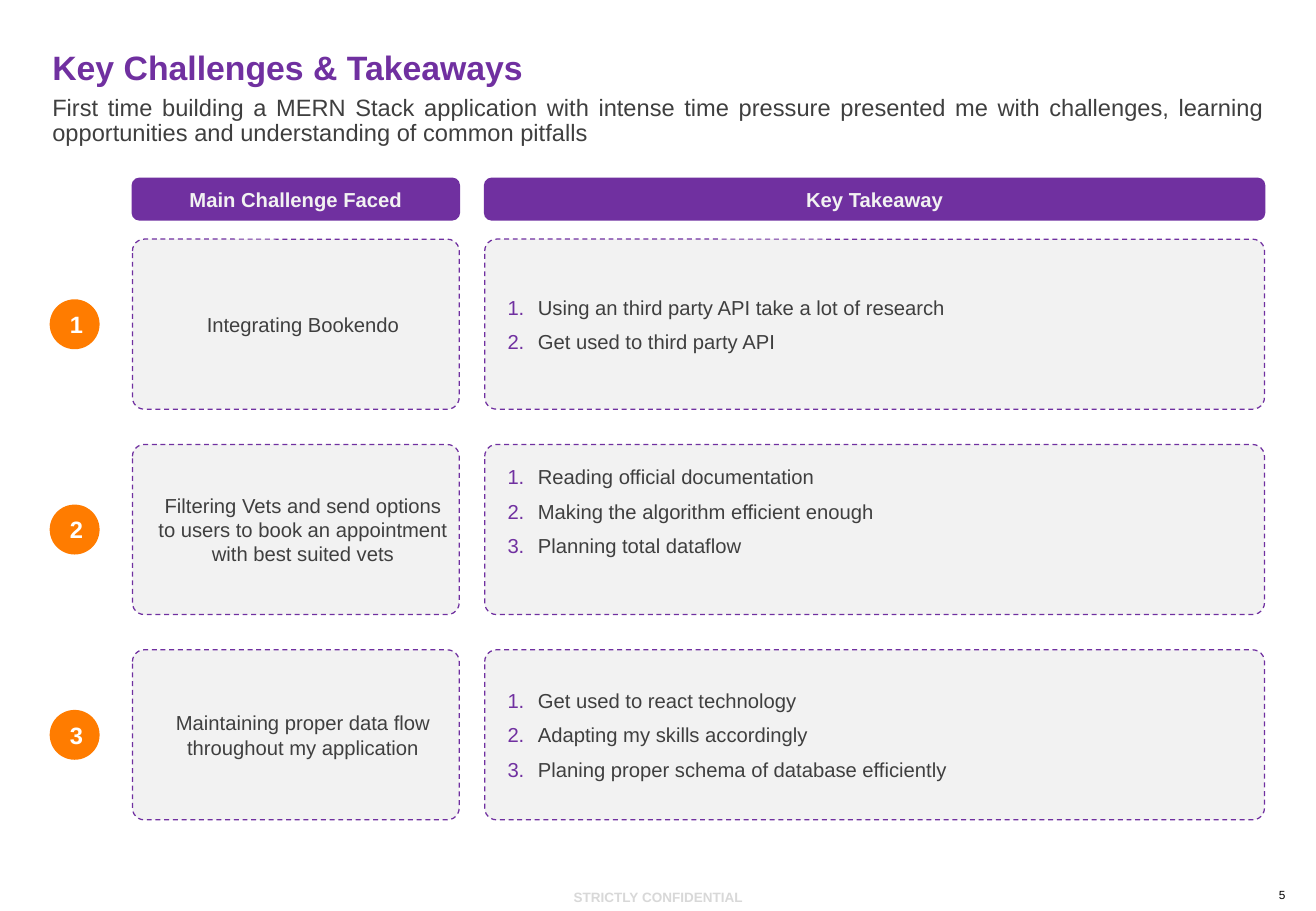
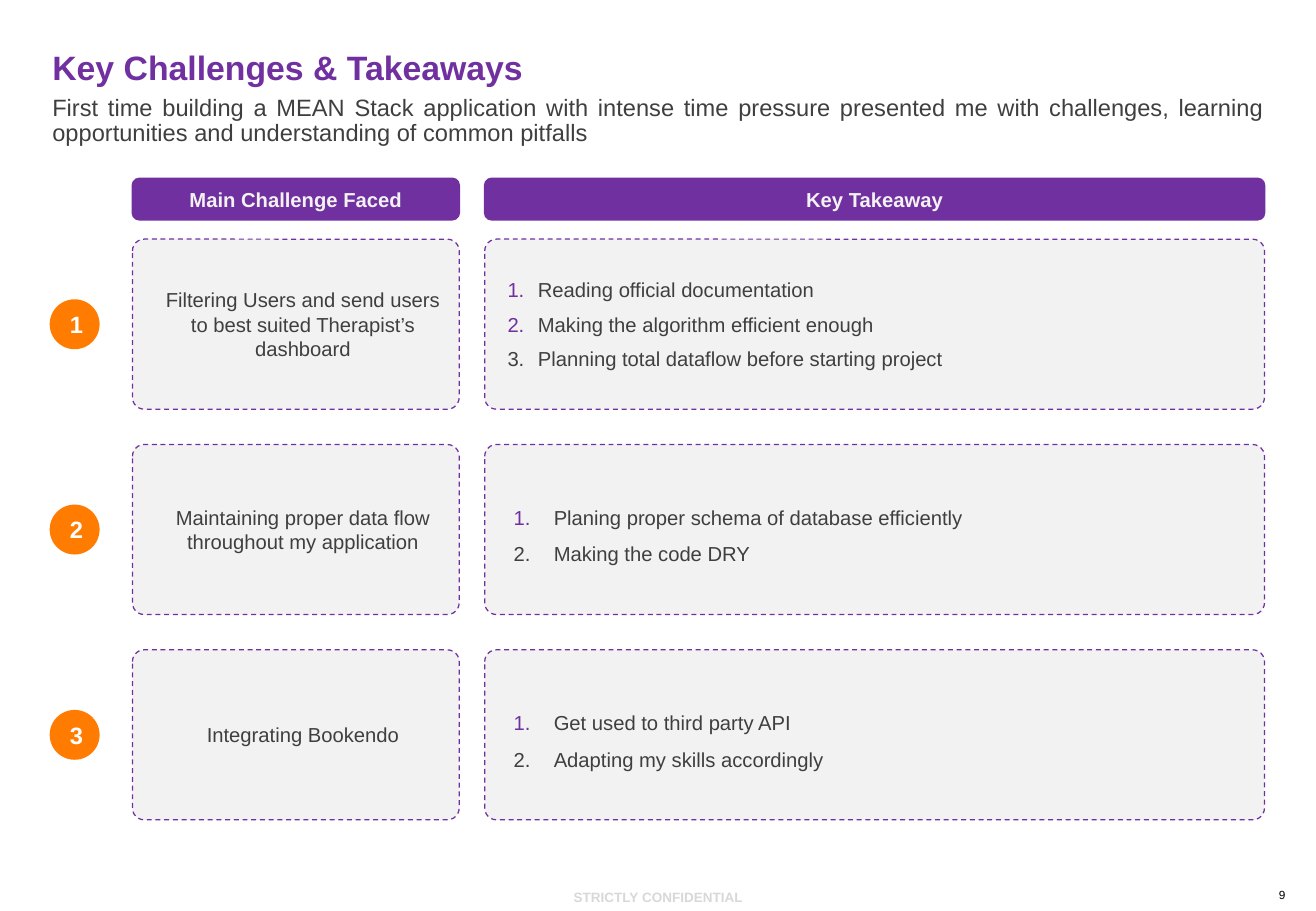
from dataclasses import dataclass

from pptx import Presentation
from pptx.dml.color import RGBColor
from pptx.enum.dml import MSO_LINE
from pptx.enum.shapes import MSO_SHAPE
from pptx.enum.text import MSO_ANCHOR, MSO_AUTO_SIZE, PP_ALIGN
from pptx.oxml.ns import qn
from pptx.slide import Slide
from pptx.shapes.autoshape import Shape
from pptx.text.text import TextFrame
from pptx.util import Pt
from lxml import etree

ROUND, OVAL = MSO_SHAPE.ROUNDED_RECTANGLE, MSO_SHAPE.OVAL
LEFT, CENTER, JUSTIFY = PP_ALIGN.LEFT, PP_ALIGN.CENTER, PP_ALIGN.JUSTIFY
TOP, MIDDLE, BOTTOM = MSO_ANCHOR.TOP, MSO_ANCHOR.MIDDLE, MSO_ANCHOR.BOTTOM
DASH = MSO_LINE.DASH
TITLE_ONLY = 5


@dataclass(frozen=True)
class Theme:
    font: str = "Arial"
    purple: str = "7030A0"
    orange: str = "FF7C00"
    panel: str = "F2F2F2"
    ink: str = "3F3F3F"
    white: str = "FFFFFF"
    pale: str = "D8D8D8"
    black: str = "000000"
    title: float = 20
    lead: float = 14
    body: float = 12
    footer: float = 8
    page: float = 7


@dataclass(frozen=True)
class Box:
    x: float
    y: float
    w: float
    h: float

    def emu(self) -> tuple[int, ...]:
        return tuple(Pt(v) for v in (self.x, self.y, self.w, self.h))


@dataclass(frozen=True)
class Style:
    size: float
    color: str
    bold: bool = False
    align: int = CENTER
    anchor: int = MIDDLE
    insets: tuple[float, float, float, float] = (7.2, 3.6, 7.2, 3.6)
    spacing: float = 1.0
    before: float = 0


@dataclass(frozen=True)
class Numbering:
    margin: float
    hanging: float
    spacing: float
    before: float


@dataclass(frozen=True)
class Row:
    challenge: list[str]
    takeaways: list[str]
    numbering: Numbering
    plain_last: bool = False
    lift: float = 0


@dataclass(frozen=True)
class Page:
    number: int
    stack: str
    rows: list[Row]


T = Theme()
NO_INSETS = (0, 0, 0, 0)
CARD_INSETS = (2.9, 5.8, 2.9, 5.8)
TITLE = Style(T.title, T.purple, True, LEFT, BOTTOM, NO_INSETS, 0.9)
LEAD = Style(T.lead, T.ink, align=JUSTIFY, anchor=TOP, insets=NO_INSETS, spacing=0.9)
HEADER = Style(T.body, T.panel, True)
BADGE = Style(T.lead, T.white, True)
CHALLENGE = Style(T.body, T.ink, insets=CARD_INSETS)
FOOTER = Style(T.footer, T.pale, True, anchor=TOP)
PAGE_NUMBER = Style(T.page, T.black, anchor=TOP, insets=NO_INSETS)

TIGHT = Numbering(26.6, 18, 1.0, 6)
LOOSE = Numbering(36, 23.8, 1.5, 0)

COLUMNS = {"Main Challenge Faced": (78.5, 193.7), "Key Takeaway": (287.3, 462.2)}
HEADER_Y, HEADER_H = 105.8, 24.5
ROW_Y, ROW_H, ROW_STEP = 141.8, 100.8, 121.7
BADGE_X, BADGE_D = 30.2, 28.1
CHALLENGE_INDENT = 8.6

LEAD_TEXT = ("First time building a {} Stack application with intense time pressure presented me "
             "with challenges, learning opportunities and understanding of common pitfalls")
DATA_FLOW = ["Maintaining proper data flow throughout my application"]
BOOKING = ["Integrating Bookendo"]

PAGES = [
    Page(5, "MERN", [
        Row(BOOKING, ["Using an third party API take a lot of research",
                      "Get used to third party API"], TIGHT),
        Row(["Filtering Vets and send options to users to book an appointment",
             "with best suited vets"],
            ["Reading official documentation", "Making the algorithm efficient enough",
             "Planning total dataflow"], TIGHT, lift=22),
        Row(DATA_FLOW, ["Get used to react technology", "Adapting my skills accordingly",
                        "Planing proper schema of database efficiently"], TIGHT),
    ]),
    Page(9, "MEAN", [
        Row(["Filtering Users and send users to best suited Therapist’s dashboard"],
            ["Reading official documentation", "Making the algorithm efficient enough",
             "Planning total dataflow before starting project"], TIGHT, plain_last=True),
        Row(DATA_FLOW, ["Planing proper schema of database efficiently",
                        "Making the code DRY"], LOOSE, plain_last=True),
        Row(BOOKING, ["Get used to third party API",
                      "Adapting my skills accordingly"], LOOSE, plain_last=True),
    ]),
]


def rgb(color: str) -> RGBColor:
    return RGBColor.from_string(color)


def apply(target: object, values: dict) -> None:
    for name, value in values.items():
        setattr(target, name, value)


def write(tf: TextFrame, lines: list[str], style: Style) -> None:
    left, top, right, bottom = (Pt(v) for v in style.insets)
    apply(tf, {"word_wrap": True, "auto_size": MSO_AUTO_SIZE.NONE,
               "vertical_anchor": style.anchor, "margin_left": left, "margin_top": top,
               "margin_right": right, "margin_bottom": bottom})
    for i, line in enumerate(lines):
        p = tf.add_paragraph() if i else tf.paragraphs[0]
        apply(p, {"alignment": style.align, "line_spacing": style.spacing,
                  "space_before": Pt(style.before if i else 0)})
        r = p.add_run()
        r.text = line
        apply(r.font, {"name": T.font, "size": Pt(style.size), "bold": style.bold})
        r.font.color.rgb = rgb(style.color)


def indent(tf: TextFrame, margin: float, first: float = 0) -> None:
    for p in tf.paragraphs:
        pPr = p._p.get_or_add_pPr()
        pPr.set("marL", str(Pt(margin)))
        pPr.set("indent", str(Pt(first)))


def number(tf: TextFrame, plain_last: bool) -> None:
    """Number the paragraphs in purple, the last one optionally in the text colour."""
    last = len(tf.paragraphs) - 1
    for i, p in enumerate(tf.paragraphs):
        pPr = p._p.get_or_add_pPr()
        color = etree.SubElement(pPr, qn("a:buClr"))
        etree.SubElement(color, qn("a:srgbClr"),
                         val=T.ink if plain_last and i == last else T.purple)
        etree.SubElement(pPr, qn("a:buFont"), typeface=T.font)
        etree.SubElement(pPr, qn("a:buAutoNum"), type="arabicPeriod")


def add_shape(slide: Slide, kind: int, box: Box, fill: str, line: str, width: float) -> Shape:
    sp = slide.shapes.add_shape(kind, *box.emu())
    sp.shadow.inherit = False
    sp.fill.solid()
    sp.fill.fore_color.rgb = rgb(fill)
    sp.line.color.rgb = rgb(line)
    sp.line.width = Pt(width)
    return sp


def add_text(slide: Slide, box: Box, text: str, style: Style) -> None:
    write(slide.shapes.add_textbox(*box.emu()).text_frame, [text], style)


def add_card(slide: Slide, box: Box, lines: list[str], style: Style) -> TextFrame:
    sp = add_shape(slide, ROUND, box, T.panel, T.purple, 0.75)
    sp.line.dash_style = DASH
    sp.adjustments[0] = 0.07
    write(sp.text_frame, lines, style)
    return sp.text_frame


def add_frame(slide: Slide, page: Page) -> None:
    """Title, lead sentence, column headers and footer."""
    title = slide.shapes.title
    names = ("left", "top", "width", "height")
    apply(title, dict(zip(names, Box(31, 30.2, 718.6, 21.6).emu())))
    write(title.text_frame, ["Key Challenges & Takeaways"], TITLE)
    add_text(slide, Box(31, 56.9, 718.6, 30.2), LEAD_TEXT.format(page.stack), LEAD)
    for label, (x, w) in COLUMNS.items():
        sp = add_shape(slide, ROUND, Box(x, HEADER_Y, w, HEADER_H), T.purple, T.purple, 1)
        write(sp.text_frame, [label], HEADER)
    add_text(slide, Box(280.8, 523.4, 218.9, 17), "STRICTLY CONFIDENTIAL", FOOTER)
    add_text(slide, Box(747.4, 526.3, 25.2, 8.6), str(page.number), PAGE_NUMBER)


def add_row(slide: Slide, index: int, row: Row) -> None:
    y = ROW_Y + index * ROW_STEP
    challenge, takeaway = (Box(x, y, w, ROW_H) for x, w in COLUMNS.values())
    indent(add_card(slide, challenge, row.challenge, CHALLENGE), CHALLENGE_INDENT)

    left, top, right, bottom = CARD_INSETS
    n = row.numbering
    style = Style(T.body, T.ink, align=LEFT, insets=(left, top, right, bottom + row.lift),
                  spacing=n.spacing, before=n.before)
    tf = add_card(slide, takeaway, row.takeaways, style)
    indent(tf, n.margin, -n.hanging)
    number(tf, row.plain_last)

    badge = Box(BADGE_X, y + (ROW_H - BADGE_D) / 2, BADGE_D, BADGE_D)
    sp = add_shape(slide, OVAL, badge, T.orange, T.orange, 1.5)
    write(sp.text_frame, [str(index + 1)], BADGE)


def main() -> None:
    prs = Presentation()
    prs.slide_width, prs.slide_height = Pt(780), Pt(540)
    for page in PAGES:
        slide = prs.slides.add_slide(prs.slide_layouts[TITLE_ONLY])
        add_frame(slide, page)
        for i, row in enumerate(page.rows):
            add_row(slide, i, row)
    prs.save("out.pptx")


if __name__ == "__main__":
    main()
